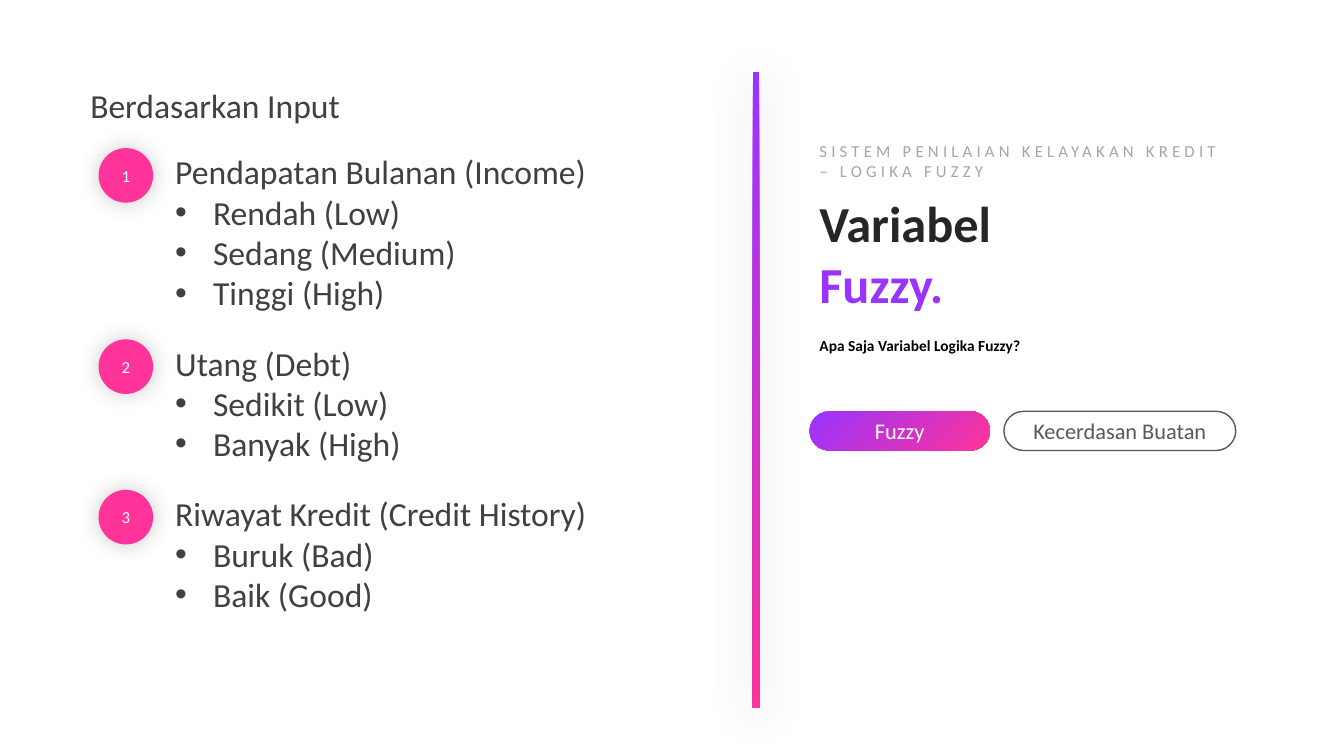
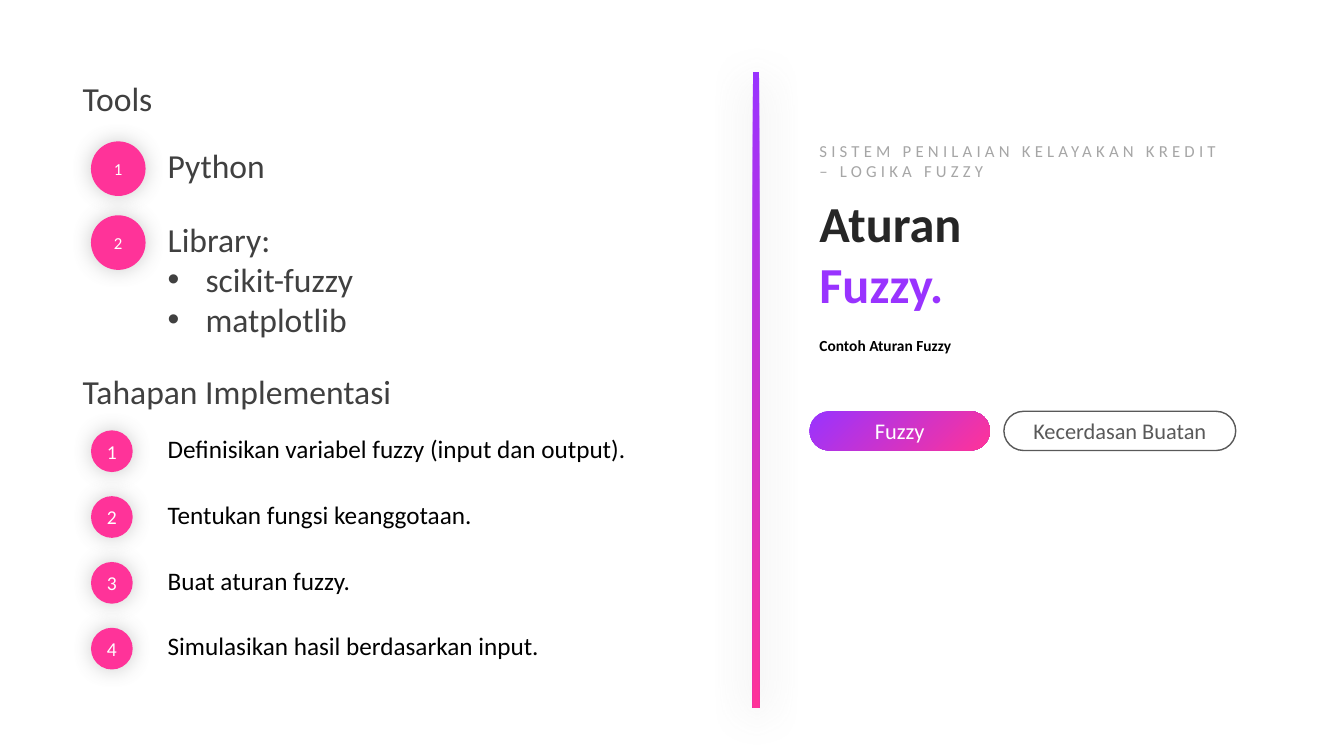
import pptx
import pptx.dml.color
import pptx.enum.shapes
import pptx.enum.text
import pptx.oxml.ns
import pptx.util
import lxml.etree

Pt = pptx.util.Pt
RGBColor = pptx.dml.color.RGBColor
Align = pptx.enum.text.PP_ALIGN
Shape = pptx.enum.shapes.MSO_SHAPE
qn = pptx.oxml.ns.qn

FONT = "Calibri"
PURPLE = RGBColor(0x99, 0x33, 0xFF)
PINK = RGBColor(0xFF, 0x33, 0x99)
INK = RGBColor(0x26, 0x26, 0x26)
BODY = RGBColor(0x40, 0x40, 0x40)
TAG_GREY = RGBColor(0x59, 0x59, 0x59)
PALE_GREY = RGBColor(0xA6, 0xA6, 0xA6)
SHADOW = RGBColor(0x80, 0x80, 0x80)
BLACK = RGBColor(0, 0, 0)
WHITE = RGBColor(0xFF, 0xFF, 0xFF)

PANEL_LEFT = 578.2
LINE_HEIGHT = 29.1


class Deck:
    """Holds the presentation, its style and the current slide."""

    def __init__(self):
        self.deck = pptx.Presentation()
        self.deck.slide_width = Pt(960)
        self.deck.slide_height = Pt(540)
        self.slide = None

    def gradient(self, fill):
        """Fill with the purple to pink diagonal."""
        fill.gradient()
        fill.gradient_angle = 315
        for stop, color in zip(fill.gradient_stops, (PURPLE, PINK)):
            stop.color.rgb = color

    def run(self, paragraph, text, size, color=None, bold=False):
        """Add one run; without a color it takes the gradient."""
        run = paragraph.add_run()
        run.text = text
        run.font.name = FONT
        run.font.size = Pt(size)
        run.font.bold = bold
        if color is None:
            self.gradient(run.font.fill)
        else:
            run.font.color.rgb = color
        return run

    def text_box(self, left, top, width, height):
        """Add an empty wrapping text box and return its frame."""
        box = self.slide.shapes.add_textbox(Pt(left), Pt(top), Pt(width), Pt(height))
        box.text_frame.word_wrap = True
        box.text_frame.auto_size = pptx.enum.text.MSO_AUTO_SIZE.SHAPE_TO_FIT_TEXT
        return box.text_frame

    def line(self, left, top, width, height, text, size, color, bold=False):
        """Add a text box holding a single run."""
        frame = self.text_box(left, top, width, height)
        return self.run(frame.paragraphs[0], text, size, color, bold)

    def bullet(self, paragraph):
        """Give a paragraph a hanging round bullet."""
        properties = paragraph._p.get_or_add_pPr()
        properties.set("marL", str(Pt(27)))
        properties.set("indent", str(-Pt(27)))
        lxml.etree.SubElement(properties, qn("a:buFont"), typeface="Arial")
        lxml.etree.SubElement(properties, qn("a:buChar"), char="•")

    def shape(self, preset, left, top, width, height):
        """Add a preset shape without line or shadow."""
        shape = self.slide.shapes.add_shape(preset, Pt(left), Pt(top), Pt(width), Pt(height))
        shape.shadow.inherit = False
        shape.line.fill.background()
        return shape

    def soft_shadow(self, shape, blur, distance=0, degrees=0):
        """Put a translucent grey shadow on a shape."""
        effects = shape._element.spPr.find(qn("a:effectLst"))
        outer = lxml.etree.SubElement(
            effects, qn("a:outerShdw"), blurRad=str(Pt(blur)), dist=str(Pt(distance)),
            dir=str(degrees * 60000), algn="ctr", rotWithShape="0")
        color = lxml.etree.SubElement(outer, qn("a:srgbClr"), val=str(SHADOW))
        lxml.etree.SubElement(color, qn("a:alpha"), val="40000")

    def label(self, shape, text, size, color):
        """Centre one line of text in a shape."""
        frame = shape.text_frame
        frame.word_wrap = False
        frame.margin_left = frame.margin_right = frame.margin_top = frame.margin_bottom = 0
        frame.vertical_anchor = pptx.enum.text.MSO_ANCHOR.MIDDLE
        frame.paragraphs[0].alignment = Align.CENTER
        self.run(frame.paragraphs[0], text, size, color)

    def badge(self, left, top, diameter, number, size):
        """Add a numbered pink disc."""
        disc = self.shape(Shape.OVAL, left, top, diameter, diameter)
        disc.fill.solid()
        disc.fill.fore_color.rgb = PINK
        self.soft_shadow(disc, 15)
        self.label(disc, str(number), size, WHITE)

    def tag(self, left, width, text, outlined):
        """Add a pill, either outlined or filled with the gradient."""
        pill = self.shape(Shape.ROUNDED_RECTANGLE, left, 293.8, width, 28)
        pill.adjustments[0] = 0.5
        if outlined:
            pill.fill.background()
            pill.line.color.rgb = TAG_GREY
            pill.line.width = Pt(1)
        else:
            self.gradient(pill.fill)
        self.label(pill, text, 16, TAG_GREY if outlined else WHITE)

    def new_slide(self, title, question):
        """Start a slide with the divider and the title panel."""
        self.slide = self.deck.slides.add_slide(self.deck.slide_layouts[6])
        frame = self.text_box(PANEL_LEFT, 133.9, 300, 94.3)
        self.run(frame.paragraphs[0], title, 36, INK, True)
        self.run(frame.add_paragraph(), "Fuzzy.", 36, bold=True)
        overline = self.line(PANEL_LEFT, 97.2, 304.6, 36,
                             "SISTEM PENILAIAN KELAYAKAN KREDIT – LOGIKA FUZZY", 12, PALE_GREY)
        overline._r.get_or_add_rPr().set("spc", "300")
        self.line(PANEL_LEFT, 236.2, 334.8, 20.9, question, 11, BLACK, True)
        self.tag(PANEL_LEFT, 128.9, "Fuzzy", False)
        self.tag(717.1, 165.6, "Kecerdasan Buatan", True)
        divider = self.shape(Shape.ROUNDED_RECTANGLE, 537.8, 51.1, 4.5, 454.3)
        divider.adjustments[0] = 0
        self.gradient(divider.fill)
        self.soft_shadow(divider, 30, 5, 90)

    def heading(self, left, top, text):
        """Add a section heading."""
        self.line(left, top, 334.8, 36, text, 24, BODY)

    def topics(self, left, top, title, topics, gap):
        """Add a heading and numbered topics with bulleted details."""
        self.heading(left, top, title)
        top += 47.8
        for number, (topic, *details) in enumerate(topics, 1):
            height = 7.2 + LINE_HEIGHT * (1 + len(details))
            frame = self.text_box(left + 60.7, top, 334.8, height)
            self.run(frame.paragraphs[0], topic, 24, BODY)
            for detail in details:
                paragraph = frame.add_paragraph()
                self.bullet(paragraph)
                self.run(paragraph, detail, 24, BODY)
            self.badge(left + 13, top + 1.2, 39, number, 12)
            top += height + gap

    def steps(self, left, top, title, steps):
        """Add a heading and evenly spaced numbered steps."""
        self.heading(left, top, title)
        for number, step in enumerate(steps, 1):
            step_top = top - 2.4 + 47 * number
            self.line(left + 60.7, step_top, 388, 29, step, 18, BLACK)
            self.badge(left + 13, step_top + 1.4, 29.8, number, 14)

    def save(self):
        """Write the presentation."""
        self.deck.save("out.pptx")


def main():
    """Build both slides."""
    deck = Deck()

    deck.new_slide("Variabel", "Apa Saja Variabel Logika Fuzzy?")
    deck.topics(57.4, 56.8, "Berdasarkan Input", [
        ("Pendapatan Bulanan (Income)", "Rendah (Low)", "Sedang (Medium)", "Tinggi (High)"),
        ("Utang (Debt)", "Sedikit (Low)", "Banyak (High)"),
        ("Riwayat Kredit (Credit History)", "Buruk (Bad)", "Baik (Good)"),
    ], 13)

    deck.new_slide("Aturan", "Contoh Aturan Fuzzy")
    deck.topics(52, 52, "Tools", [
        ("Python",),
        ("Library:", "scikit-fuzzy", "matplotlib"),
    ], 16.5)
    deck.steps(52, 261.4, "Tahapan Implementasi", [
        "Definisikan variabel fuzzy (input dan output).",
        "Tentukan fungsi keanggotaan.",
        "Buat aturan fuzzy.",
        "Simulasikan hasil berdasarkan input.",
    ])

    deck.save()


if __name__ == "__main__":
    main()
